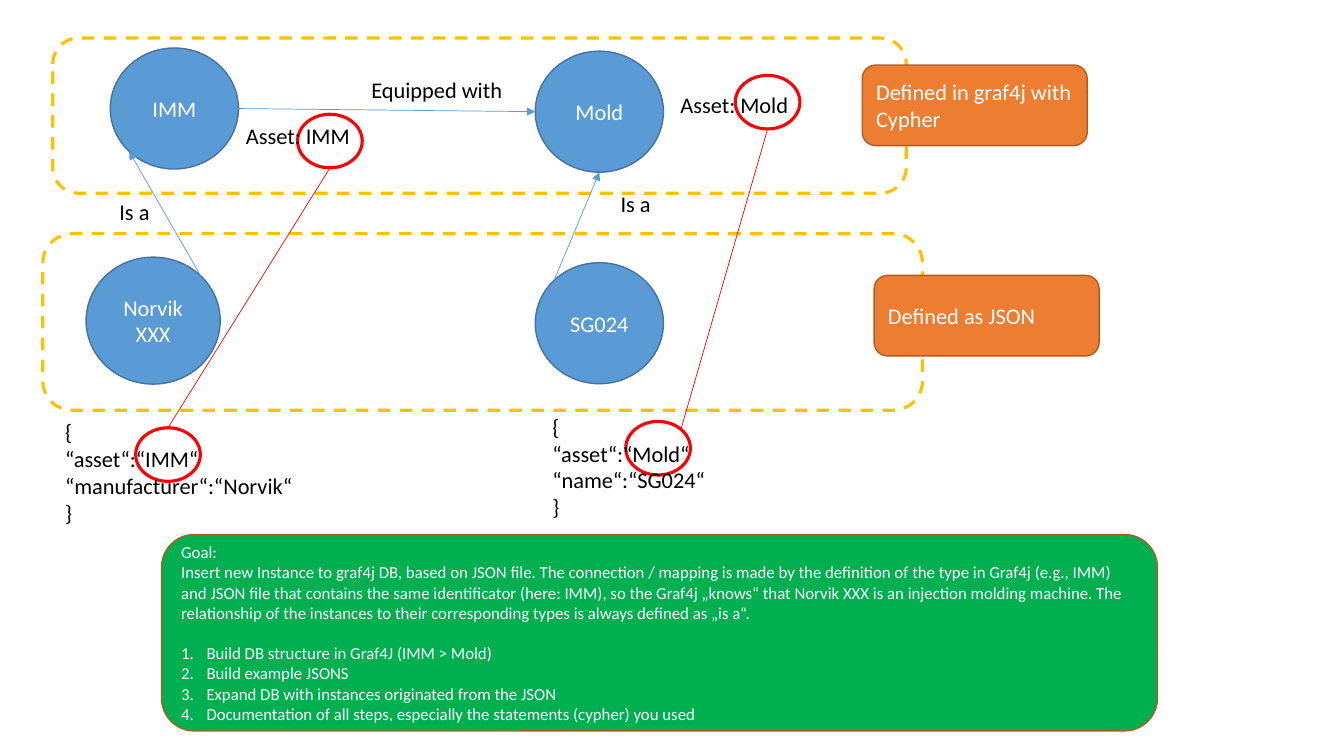
import math
from dataclasses import dataclass
from typing import Any, NamedTuple

import lxml.etree
import pptx
import pptx.dml.color
import pptx.enum.dml
import pptx.enum.shapes
import pptx.enum.text
import pptx.oxml.ns
import pptx.util

Cm, Pt = pptx.util.Cm, pptx.util.Pt
Kind = pptx.enum.shapes.MSO_SHAPE
Side = pptx.enum.text.PP_ALIGN
Dash = pptx.enum.dml.MSO_LINE
MID = pptx.enum.text.MSO_ANCHOR.MIDDLE
FIXED = pptx.enum.text.MSO_AUTO_SIZE.NONE
qn = pptx.oxml.ns.qn


@dataclass(frozen=True)
class Theme:
    font: str = "Calibri"
    large: int = 16
    small: int = 12
    black: str = "000000"
    white: str = "FFFFFF"
    blue: str = "5B9BD5"
    navy: str = "43739E"
    gold: str = "FFC000"
    orange: str = "ED7D31"
    rust: str = "AF5C24"
    green: str = "00B050"
    red: str = "FF0000"
    thin: float = 0.5
    edge: float = 1
    thick: float = 2.25


class Box(NamedTuple):
    x: float
    y: float
    w: float
    h: float


class Look(NamedTuple):
    kind: Any
    fill: str | None
    line: str
    width: float
    side: Any = Side.CENTER
    dash: Any = None


class Item(NamedTuple):
    name: str
    look: Look
    box: Box
    text: str = ""


class Label(NamedTuple):
    box: Box
    text: str


class Link(NamedTuple):
    start: str
    out: int
    end: str
    into: int
    color: str
    arrow: bool


T = Theme()
NODE = Look(Kind.OVAL, T.blue, T.navy, T.edge)
LAYER = Look(Kind.ROUNDED_RECTANGLE, None, T.gold, T.thick, dash=Dash.DASH)
TAG = Look(Kind.ROUNDED_RECTANGLE, T.orange, T.rust, T.edge, Side.LEFT)
PANEL = Look(Kind.ROUNDED_RECTANGLE, T.green, T.rust, T.edge)
RING = Look(Kind.OVAL, None, T.red, T.thick)

# Sites on an oval, counted anticlockwise in steps of 45 degrees
TOP, TOP_LEFT, LEFT, LOW_LEFT, LOW, LOW_RIGHT, RIGHT, TOP_RIGHT = range(8)

GOAL = Box(4.07, 13.47, 25.1, 4.95)
INSET = 0.24
NODE_W, NODE_H = 3.23, 3.05
TAG_W, TAG_H = 5.67, 2.03
RING_W, RING_H = 1.63, 1.35
WORD_W, NOTE_W, ROW_H, CODE_H = 4.57, 7.44, 0.94, 3

ITEMS = [
    Item("imm", NODE, Box(2.78, 1.21, NODE_W, NODE_H), "IMM"),
    Item("maker", NODE, Box(2.17, 6.48, 3.38, 3.2), "Norvik\nXXX"),
    Item("mold", NODE, Box(13.49, 1.29, NODE_W, NODE_H), "Mold"),
    Item("sg", NODE, Box(13.49, 6.62, NODE_W, NODE_H), "SG024"),
    Item("types", LAYER, Box(1.33, 0.96, 21.51, 3.91)),
    Item("files", LAYER, Box(1.08, 5.89, 22.17, 4.45)),
    Item("cypher", TAG, Box(21.73, 1.64, TAG_W, TAG_H), "Defined in graf4j with Cypher"),
    Item("json", TAG, Box(22.03, 6.94, TAG_W, TAG_H), "Defined as JSON"),
    Item("goal", PANEL, GOAL),
    Item("mold type", RING, Box(18.53, 1.9, RING_W, RING_H)),
    Item("mold key", RING, Box(15.77, 10.62, RING_W, RING_H)),
    Item("imm key", RING, Box(3.42, 10.78, RING_W, RING_H)),
    Item("imm type", RING, Box(7.5, 2.88, RING_W, RING_H)),
]
LABELS = [
    Label(Box(9.11, 1.8, WORD_W, ROW_H), "Equipped with"),
    Label(Box(2.76, 4.88, WORD_W, ROW_H), "Is a"),
    Label(Box(15.39, 4.67, WORD_W, ROW_H), "Is a"),
    Label(Box(5.95, 2.95, NOTE_W, ROW_H), "Asset: IMM"),
    Label(Box(16.9, 2.18, NOTE_W, ROW_H), "Asset: Mold"),
    Label(Box(1.39, 10.41, NOTE_W, CODE_H), "{\n“asset“:“IMM“\n“manufacturer“:“Norvik“\n}"),
    Label(Box(13.67, 10.28, NOTE_W, CODE_H), "{\n“asset“:“Mold“\n“name“:“SG024“\n}"),
]
LINKS = [
    Link("imm", RIGHT, "mold", LEFT, T.blue, True),
    Link("maker", TOP_RIGHT, "imm", LOW_LEFT, T.blue, True),
    Link("sg", TOP_LEFT, "mold", LOW, T.blue, True),
    Link("imm type", LOW, "imm key", TOP, T.red, False),
    Link("mold type", LOW, "mold key", TOP_RIGHT, T.red, False),
]
INTRO = [
    "Goal:",
    "Insert new Instance to graf4j DB, based on JSON file. The connection / mapping is made by "
    "the definition of the type in Graf4j (e.g., IMM) and JSON file that contains the same "
    "identificator (here: IMM), so the Graf4j „knows“ that Norvik XXX is an injection molding "
    "machine. The relationship of the instances to their corresponding types is always "
    "defined as „is a“.",
]
STEPS = [
    "Build DB structure in Graf4J (IMM > Mold)",
    "Build example JSONS",
    "Expand DB with instances originated from the JSON",
    "Documentation of all steps, especially the statements (cypher) you used",
]


def apply(part: Any, form: dict[str, Any]) -> None:
    for key, value in form.items():
        setattr(part, key, value)


def paint(color: Any, code: str) -> None:
    color.rgb = pptx.dml.color.RGBColor.from_string(code)


def cover(shape: Any, code: str | None) -> None:
    if code:
        shape.fill.solid()
        paint(shape.fill.fore_color, code)
    else:
        shape.fill.background()


def write(frame: Any, text: str, color: str, size: int, side: Any) -> None:
    frame.text = text
    for para in frame.paragraphs:
        para.alignment = side
        for run in para.runs:
            apply(run.font, {"name": T.font, "size": Pt(size)})
            paint(run.font.color, color)


def draw(slide: Any, item: Item) -> None:
    look = item.look
    shape = slide.shapes.add_shape(look.kind, *map(Cm, item.box))
    shape.shadow.inherit = False
    cover(shape, look.fill)
    paint(shape.line.color, look.line)
    apply(shape.line, {"width": Pt(look.width), "dash_style": look.dash})
    if item.text:
        apply(shape.text_frame, {"word_wrap": True, "vertical_anchor": MID})
        write(shape.text_frame, item.text, T.white, T.large, look.side)


def note(slide: Any, label: Label) -> None:
    frame = slide.shapes.add_textbox(*map(Cm, label.box)).text_frame
    frame.word_wrap = True
    write(frame, label.text, T.black, T.large, Side.LEFT)


def site(box: Box, step: int) -> tuple[Any, Any]:
    turn = math.radians(90 + 45 * step)
    return (Cm(box.x + box.w / 2 * (1 + math.cos(turn))),
            Cm(box.y + box.h / 2 * (1 - math.sin(turn))))


def join(slide: Any, link: Link, boxes: dict[str, Box]) -> None:
    ends = site(boxes[link.start], link.out) + site(boxes[link.end], link.into)
    line = slide.shapes.add_connector(pptx.enum.shapes.MSO_CONNECTOR.STRAIGHT, *ends)
    paint(line.line.color, link.color)
    line.line.width = Pt(T.thin)
    if link.arrow:
        lxml.etree.SubElement(line.line._get_or_add_ln(), qn("a:tailEnd"), type="triangle")
    lxml.etree.SubElement(line._element.spPr, qn("a:effectLst"))


def fill_goal(body: Any) -> None:
    place = Box(GOAL.x + INSET, GOAL.y + INSET, GOAL.w - 2 * INSET, GOAL.h - 2 * INSET)
    apply(body, dict(zip(("left", "top", "width", "height"), map(Cm, place))))
    cover(body, T.green)
    frame = body.text_frame
    apply(frame, {"auto_size": FIXED, "word_wrap": True, "vertical_anchor": MID,
                  "margin_top": 0, "margin_bottom": 0})
    write(frame, "\n".join(INTRO + STEPS), T.white, T.small, Side.LEFT)
    for rank, para in enumerate(frame.paragraphs):
        step = rank >= len(INTRO)
        gap = Pt(14.6) if rank == len(INTRO) else Pt(0)
        apply(para, {"space_before": gap, "space_after": Pt(0), "line_spacing": 1.0})
        props = para._p.get_or_add_pPr()
        hang = Cm(0.64) if step else 0
        apply_hang = {"marL": str(hang), "indent": str(-hang)}
        props.attrib.update(apply_hang)
        if step:
            lxml.etree.SubElement(props, qn("a:buFont"), typeface="+mj-lt")
            lxml.etree.SubElement(props, qn("a:buAutoNum"), type="arabicPeriod")
        else:
            lxml.etree.SubElement(props, qn("a:buNone"))


# Slide, shapes, labels and links
deck = pptx.Presentation()
apply(deck, {"slide_width": Cm(33.87), "slide_height": Cm(19.05)})
slide = deck.slides.add_slide(deck.slide_layouts[1])
title, body = slide.placeholders
title._element.getparent().remove(title._element)
for item in ITEMS:
    draw(slide, item)
for label in LABELS:
    note(slide, label)
boxes = {item.name: item.box for item in ITEMS}
for link in LINKS:
    join(slide, link, boxes)

# Goal text, in front of its panel
fill_goal(body)
slide.shapes._spTree.append(body._element)
deck.save("out.pptx")
